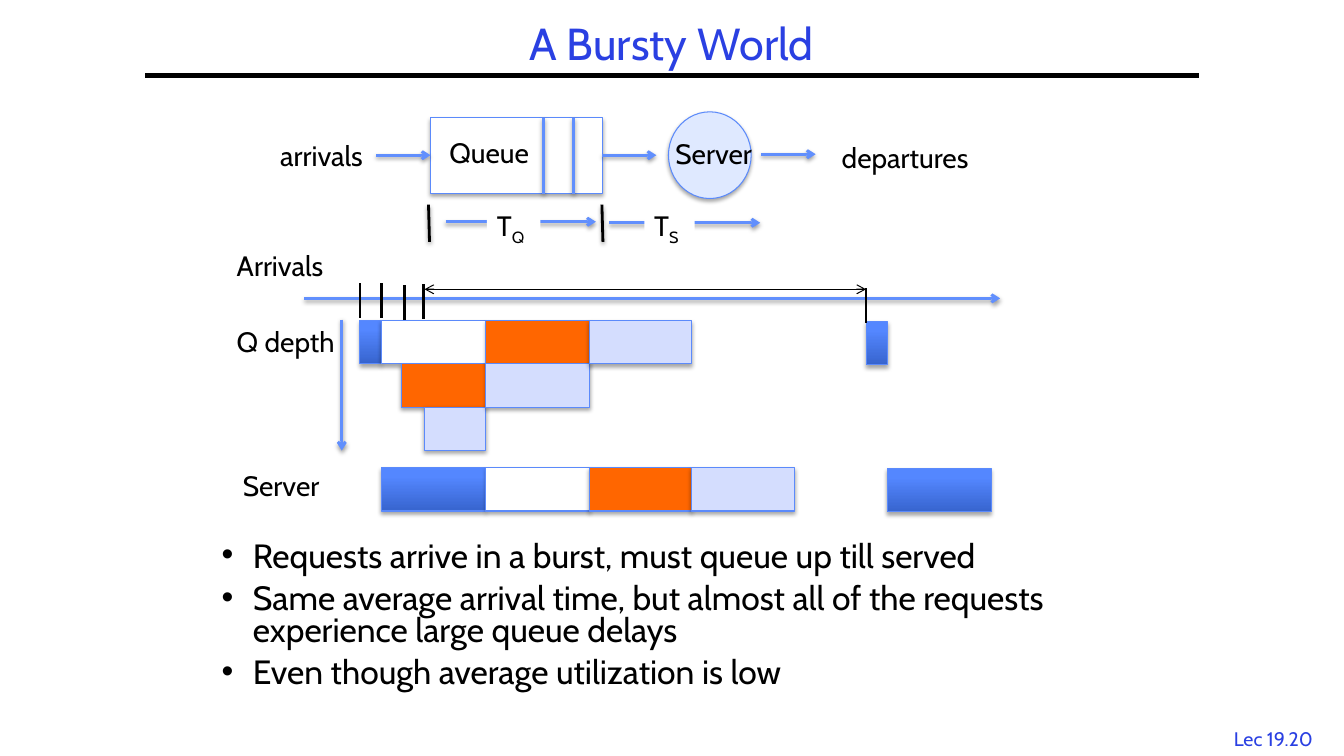
from lxml import etree
from pptx import Presentation
from pptx.dml.color import RGBColor
from pptx.enum.shapes import MSO_CONNECTOR, MSO_SHAPE
from pptx.enum.text import MSO_ANCHOR, MSO_AUTO_SIZE, PP_ALIGN
from pptx.oxml import parse_xml
from pptx.oxml.ns import nsdecls, qn
from pptx.util import Inches, Pt

FONT = "Cabin"
BLACK = RGBColor(0x00, 0x00, 0x00)
WHITE = RGBColor(0xFF, 0xFF, 0xFF)
TITLE_BLUE = RGBColor(0x2A, 0x40, 0xE2)
ARROW_BLUE = RGBColor(0x61, 0x8F, 0xFD)
EDGE_BLUE = RGBColor(0x5B, 0x8A, 0xFB)
SERVER_BLUE = RGBColor(0xDF, 0xE9, 0xFF)
LILAC = RGBColor(0xD4, 0xDD, 0xFE)
ORANGE = RGBColor(0xFF, 0x66, 0x00)
BLUE_STOPS = ((0, RGBColor(0x37, 0x64, 0xCE)), (80, RGBColor(0x54, 0x87, 0xFF)),
              (100, RGBColor(0x56, 0x88, 0xFF)))

# Content
TITLE = "A Bursty World"
FOOTER = "Lec 19.20"
BULLETS = [
    "Requests arrive in a burst, must queue up till served",
    "Same average arrival time, but almost all of the requests experience large queue delays",
    "Even though average utilization is low",
]
LABELS = [  # text, left, top, width
    ("Queue", 4.36, 1.3, 1.04), ("Server", 6.6, 1.31, 1.03),
    ("arrivals", 2.68, 1.33, 1.11), ("departures", 8.25, 1.34, 1.54),
    ("Arrivals", 2.25, 2.42, 1.14), ("Q depth", 2.25, 3.17, 1.2),
    ("Server", 2.31, 4.6, 1.03),
]
TIME_LABELS = [("Q", 4.83, 0.53), ("S", 6.39, 0.5)]  # subscript, left, width
SPANS = [(4.42, 5.91, 2.2), (6.04, 7.54, 2.21)]  # left, right, y
FLOWS = [(3.73, 1.54), (5.97, 1.54), (7.55, 1.53)]  # left, y
FLOW_LENGTH = 0.54
QUEUE_SLOTS = [5.39, 5.69]
TIME_MARKS = [4.25, 5.97]

# Time scale: arrivals, then the moments the server takes its next request
ARRIVE = [3.57, 3.78, 3.98, 4.21]
SERVE = [3.78, 4.82, 5.85, 6.86, 7.88]
LATE, LATE_SERVE, LATE_END = 8.59, 8.8, 9.83
TICKS = [(ARRIVE[0], 2.81), (ARRIVE[1], 2.81), (4.01, 2.83), (4.2, 2.82), (LATE, 2.86)]
TICK_HEIGHT = 0.34
ROW_TOP, ROW_HEIGHT, SERVER_TOP = 3.18, 0.43, 4.64
REQUESTS = [None, WHITE, ORANGE, LILAC]  # None is the gradient blue

prs = Presentation()
prs.slide_width, prs.slide_height = Inches(13.33), Inches(7.5)
s = prs.slides.add_slide(prs.slide_layouts[6])


def set_all(obj, **values):
    for name, value in values.items():
        setattr(obj, name, value)


def set_effects(sp, distance=None, alpha=0):
    shadow = "" if distance is None else (
        f'<a:outerShdw blurRad="{Pt(3.1)}" dist="{Pt(distance)}" dir="5400000" rotWithShape="0">'
        f'<a:srgbClr val="000000"><a:alpha val="{alpha * 1000}"/></a:srgbClr></a:outerShdw>')
    sp._element.spPr.append(
        parse_xml(f'<a:effectLst {nsdecls("a")}>{shadow}</a:effectLst>'))


def add_line(x1, y1, x2, y2, color=ARROW_BLUE, width=2, ends=(), shadow=True):
    c = s.shapes.add_connector(MSO_CONNECTOR.STRAIGHT, *map(Inches, (x1, y1, x2, y2)))
    c.line.color.rgb = color
    c.line.width = Pt(width)
    for end in ends:
        etree.SubElement(c.line._get_or_add_ln(), qn(f"a:{end}"), type="arrow")
    set_effects(c, *((1.6, 38) if shadow else ()))


def add_block(x, y, w, h, fill, kind=MSO_SHAPE.RECTANGLE):
    sp = s.shapes.add_shape(kind, *map(Inches, (x, y, w, h)))
    if fill is None:
        stops = "".join(f'<a:gs pos="{pos * 1000}"><a:srgbClr val="{color}"/></a:gs>'
                        for pos, color in BLUE_STOPS)
        sp._element.spPr.append(parse_xml(
            f'<a:gradFill {nsdecls("a")} rotWithShape="1"><a:gsLst>{stops}</a:gsLst>'
            '<a:lin ang="16200000" scaled="0"/></a:gradFill>'))
    else:
        sp.fill.solid()
        sp.fill.fore_color.rgb = fill
    sp.line.color.rgb = EDGE_BLUE
    sp.line.width = Pt(0.75)
    set_effects(sp, 1.8, 35)


def add_text(paragraphs, x, y, w, h=0.44, size=20, color=BLACK, wrap=False,
             align=PP_ALIGN.LEFT, spacing=None, bullet=False):
    sp = s.shapes.add_textbox(*map(Inches, (x, y, w, h)))
    tf = sp.text_frame
    set_all(tf, word_wrap=wrap,
            auto_size=MSO_AUTO_SIZE.NONE if wrap else MSO_AUTO_SIZE.SHAPE_TO_FIT_TEXT)
    for i, text in enumerate(paragraphs):
        p = tf.add_paragraph() if i else tf.paragraphs[0]
        if bullet:
            pPr = p._p.get_or_add_pPr()
            pPr.set("marL", str(Inches(0.31)))
            pPr.set("indent", str(-Inches(0.31)))
            etree.SubElement(pPr, qn("a:buFont"), typeface="Arial")
            etree.SubElement(pPr, qn("a:buChar"), char="•")
        set_all(p, alignment=align, line_spacing=spacing,
                space_before=Pt(7.2) if i else Pt(0))
        r = p.add_run()
        r.text = text
        set_all(r.font, name=FONT, size=Pt(size))
        r.font.color.rgb = color
    return sp


# Title, rule and footer
add_text([FOOTER], 12.09, 7.16, 1.08, 0.33, size=14, color=TITLE_BLUE,
         align=PP_ALIGN.CENTER)
add_line(1.44, 0.75, 11.89, 0.75, BLACK, 3, shadow=False)
title = add_text([TITLE], 1.44, 0.17, 10.44, 0.58, size=32, color=TITLE_BLUE, wrap=True,
                 align=PP_ALIGN.CENTER, spacing=0.9)
title.text_frame.vertical_anchor = MSO_ANCHOR.MIDDLE

# Queue and server model
add_block(4.27, 1.17, 1.71, 0.75, WHITE)
for x in QUEUE_SLOTS:
    add_line(x, 1.17, x, 1.92)
add_block(6.63, 1.11, 0.82, 0.86, SERVER_BLUE, MSO_SHAPE.OVAL)
for x, y in FLOWS:
    add_line(x, y, x + FLOW_LENGTH, y, ends=["tailEnd"])

# Time spent in queue and server
for left, right, y in SPANS:
    add_line(left, y, right, y, ends=["tailEnd"])
for sub, x, w in TIME_LABELS:
    sp = add_text(["T"], x, 2.02, w)
    sp.fill.solid()
    sp.fill.fore_color.rgb = WHITE
    r = sp.text_frame.paragraphs[0].add_run()
    r.text = sub
    set_all(r.font, name=FONT, size=Pt(20))
    r.font.color.rgb = BLACK
    r.font._element.set("baseline", "-25000")
for x in TIME_MARKS:
    add_line(x, 2.03, x + 0.01, 2.4, BLACK)

# Timeline of arrivals
add_line(3.02, 2.96, 9.92, 2.96, ends=["tailEnd"])

# Each request waits one row higher after every service, then is served
for n, fill in enumerate(REQUESTS):
    edges = [ARRIVE[n]] + SERVE[1:n + 1] if n else [ARRIVE[0], SERVE[0]]
    for step, (left, right) in enumerate(zip(edges, edges[1:])):
        row = max(n - 1, 0) - step
        add_block(left, ROW_TOP + row * ROW_HEIGHT, right - left, ROW_HEIGHT, fill)
    add_block(SERVE[n], SERVER_TOP, SERVE[n + 1] - SERVE[n], ROW_HEIGHT, fill)
add_block(LATE, ROW_TOP + 0.01, LATE_SERVE - LATE, ROW_HEIGHT, None)
add_block(LATE_SERVE, SERVER_TOP + 0.01, LATE_END - LATE_SERVE, ROW_HEIGHT, None)

# Arrival ticks, gap between bursts and depth axis
for x, y in TICKS:
    add_line(x, y, x, y + TICK_HEIGHT, BLACK, shadow=False)
add_line(4.21, 2.87, LATE, 2.87, BLACK, 0.75, ["headEnd", "tailEnd"], shadow=False)
add_line(3.39, 3.17, 3.39, 4.47, ends=["tailEnd"])

# Labels and bullets
for text, x, y, w in LABELS:
    add_text([text], x, y, w)
add_text(BULLETS, 2.1, 5.33, 9, 1.75, size=24, wrap=True, spacing=0.8, bullet=True)

prs.save("out.pptx")
